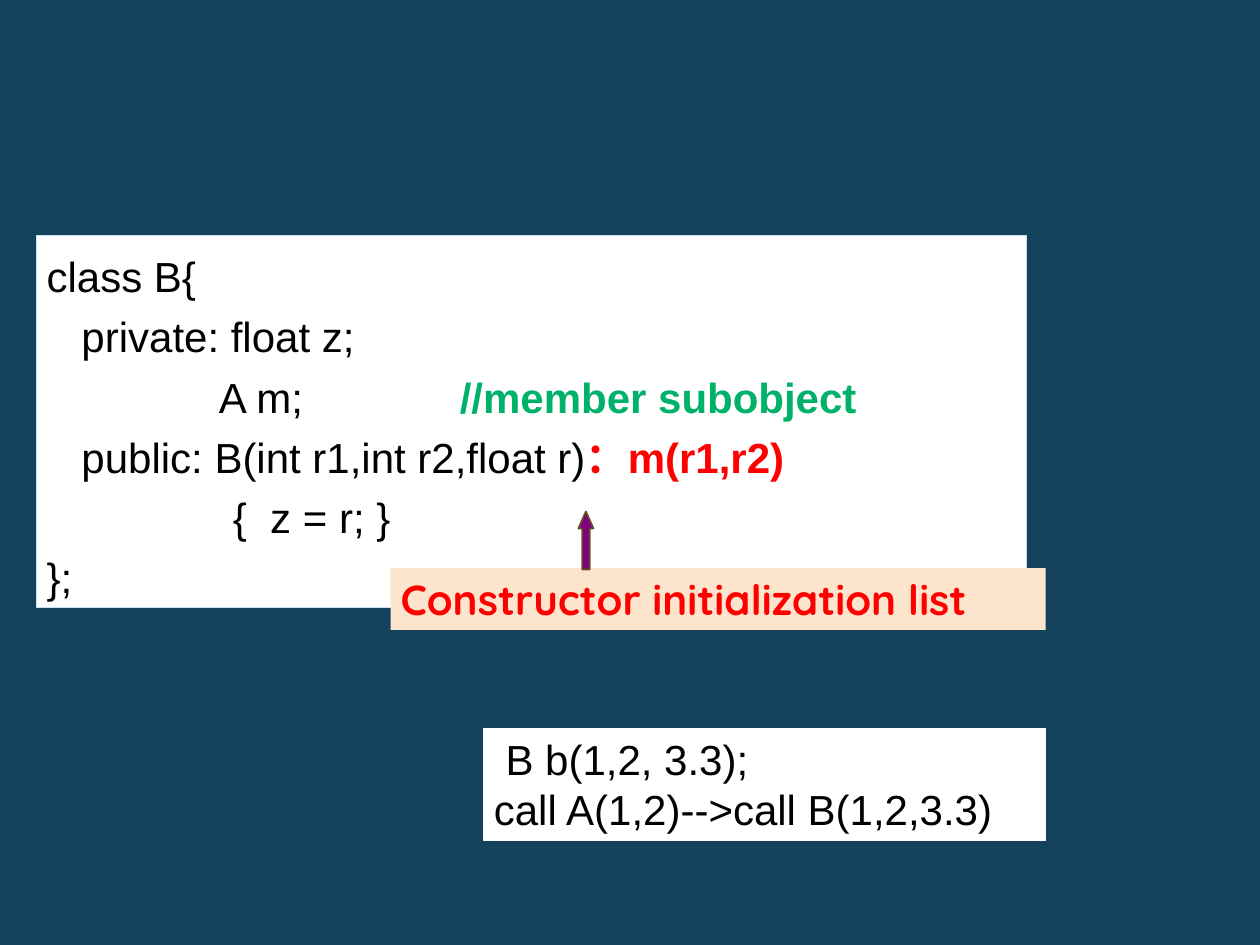
import pptx
import pptx.dml.color
import pptx.enum.shapes
import pptx.enum.text
import pptx.oxml
import pptx.oxml.ns
import pptx.util

Inches = pptx.util.Inches
Pt = pptx.util.Pt
SHAPE = pptx.enum.shapes.MSO_SHAPE
ANCHOR = pptx.enum.text.MSO_ANCHOR
BLACK, WHITE, RED, GREEN = "000000", "FFFFFF", "FF0000", "00B16A"


def paint(fmt, color):
    """Give a fill a solid hex colour."""
    fmt.solid()
    fmt.fore_color.rgb = pptx.dml.color.RGBColor.from_string(color)


def write(par, text, font="Arial", size=24, color=BLACK, bold=False):
    """Add one formatted run to a paragraph."""
    run = par.add_run()
    run.text = text
    run.font.name = font
    run.font.size = Pt(size)
    run.font.bold = bold
    paint(run.font.fill, color)


def stop(par, pos):
    """Add a left tab stop to a paragraph."""
    tabs = pptx.oxml.parse_xml(
        f'<a:tabLst {pptx.oxml.ns.nsdecls("a")}>'
        f'<a:tab pos="{Inches(pos)}" algn="l"/></a:tabLst>'
    )
    par._p.get_or_add_pPr().append(tabs)


def block(slide, kind, box, fill, line=None, width=0.75):
    """Add a flat filled shape in the given box."""
    shape = slide.shapes.add_shape(kind, *map(Inches, box))
    shape.shadow.inherit = False
    paint(shape.fill, fill)
    if line:
        paint(shape.line.fill, line)
        shape.line.width = Pt(width)
    else:
        shape.line.fill.background()
    return shape


def panel(slide, box, rows, fill=WHITE, line=None, anchor=ANCHOR.TOP,
          space=None, tab=None):
    """Add a text panel; each row is a list of (text, format) pairs."""
    frame = block(slide, SHAPE.RECTANGLE, box, fill, line).text_frame
    frame.word_wrap = True
    frame.vertical_anchor = anchor
    frame.margin_left = frame.margin_right = Inches(0.08)
    frame.margin_top = frame.margin_bottom = Inches(0.04)
    for num, row in enumerate(rows):
        par = frame.add_paragraph() if num else frame.paragraphs[0]
        if tab and any("\t" in text for text, _ in row):
            stop(par, tab)
        par.alignment = pptx.enum.text.PP_ALIGN.LEFT
        if space:
            par.line_spacing = Pt(space)
        for text, form in row:
            write(par, text, **form)


def code(slide, box):
    """Show the class definition."""
    rows = [
        [("class B{", {})],
        [("   private: float z;", {})],
        [("               A m;\t", {}),
         ("//member subobject", {"color": GREEN, "bold": True})],
        [("   public: B(int r1,int r2,float r)", {}),
         ("：m(r1,r2)", {"color": RED, "bold": True})],
        [("                {  z = r; }", {})],
        [("};", {})],
    ]
    panel(slide, box, rows, line="C4E1F2", anchor=ANCHOR.MIDDLE,
          space=34.4, tab=3.28)


def label(slide, box):
    """Name the initialization list and point up at it."""
    left, top = box[:2]
    form = {"font": "Quicksand", "color": RED, "bold": True}
    panel(slide, box, [[("Constructor initialization list", form)]], "FDE5CD")
    arrow = block(slide, SHAPE.UP_ARROW, (left + 1.49, top - 0.45, 0.12, 0.46),
                  "800080", "674D26", 1)
    arrow.adjustments[0] = 0.5
    arrow.adjustments[1] = 1.125


def usage(slide, box):
    """Show the object creation and the order of calls."""
    rows = [[(" B b(1,2, 3.3);", {})],
            [("call A(1,2)-->call B(1,2,3.3)", {})]]
    panel(slide, box, rows, line=WHITE)


def main():
    """Build and save the slide."""
    deck = pptx.Presentation()
    deck.slide_width, deck.slide_height = Inches(10), Inches(7.5)
    slide = deck.slides.add_slide(deck.slide_layouts[6])
    paint(slide.background.fill, "14425D")
    code(slide, (0.29, 1.87, 7.86, 2.95))
    label(slide, (3.1, 4.51, 5.2, 0.49))
    usage(slide, (3.84, 5.78, 4.46, 0.89))
    deck.save("out.pptx")


if __name__ == "__main__":
    main()
